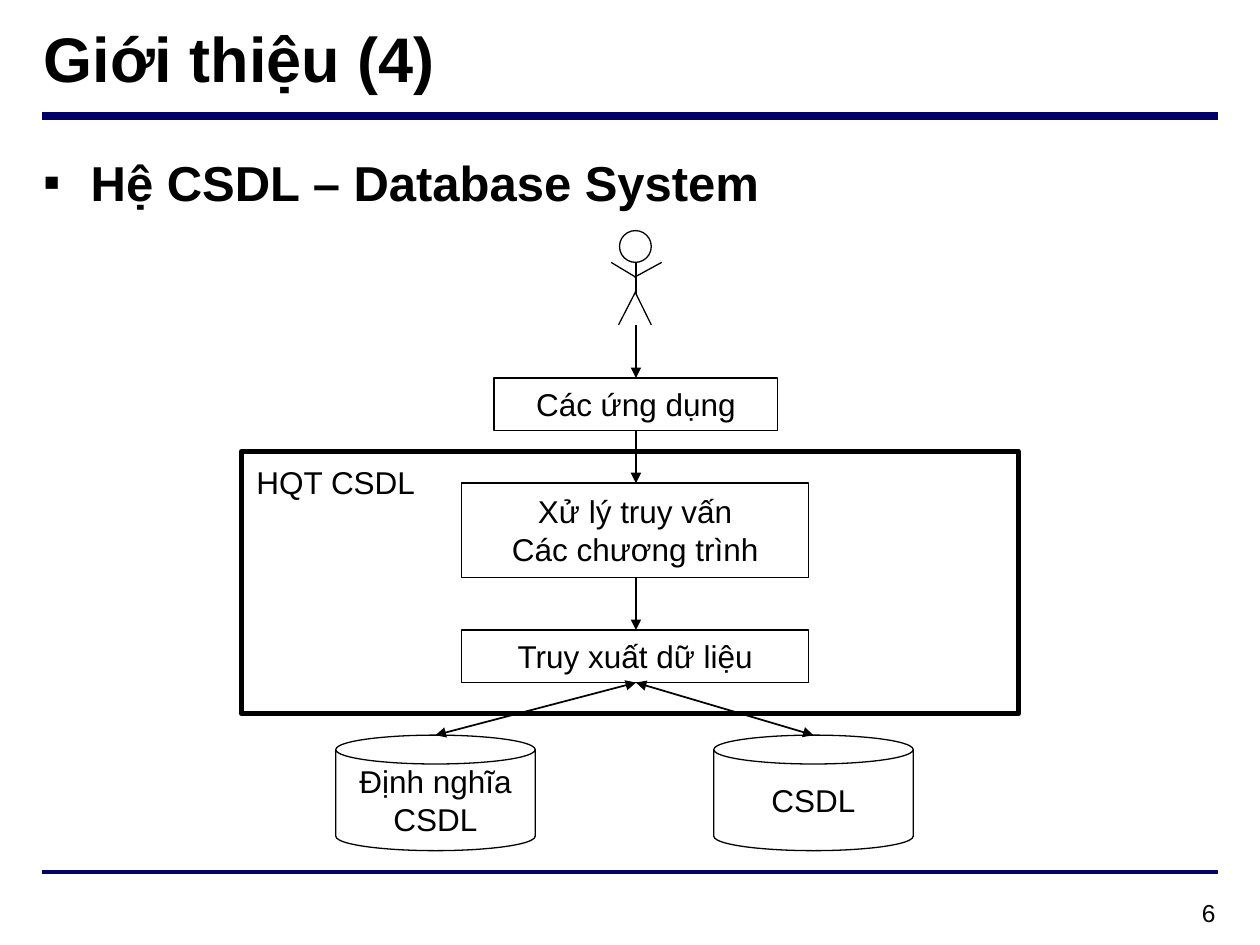
import math
from typing import NamedTuple

import pptx
import pptx.dml.color
import pptx.enum.shapes
import pptx.enum.text
import pptx.oxml.ns
import pptx.util
from lxml import etree

Cm = pptx.util.Cm
Pt = pptx.util.Pt
ALIGN = pptx.enum.text.PP_ALIGN
ANCHOR = pptx.enum.text.MSO_ANCHOR
SHAPE = pptx.enum.shapes.MSO_SHAPE

COLOURS = {"text": "000000", "line": "000000", "rule": "000066"}
FONT = "Arial"


class Box(NamedTuple):
    """A place on the slide, in centimetres."""
    left: float
    top: float
    width: float
    height: float


class Node(NamedTuple):
    kind: int
    box: Box
    lines: list[str]


class Line(NamedTuple):
    """A straight line, in centimetres, with arrowheads if asked for."""
    start: tuple[float, float]
    end: tuple[float, float]
    width: float = 0.75
    colour: str = "line"
    start_arrow: bool = False
    end_arrow: bool = False


CENTRE = 12.82
ARROW_WIDTH = 1
CAN_TOP = 14.82

NODES = [
    Node(SHAPE.RECTANGLE, Box(9.96, 7.62, 5.72, 1.06), ["Các ứng dụng"]),
    Node(SHAPE.RECTANGLE, Box(9.31, 9.74, 6.99, 1.9), ["Xử lý truy vấn", "Các chương trình"]),
    Node(SHAPE.RECTANGLE, Box(9.31, 12.7, 6.99, 1.06), ["Truy xuất dữ liệu"]),
    Node(SHAPE.CAN, Box(6.77, CAN_TOP, 4.02, 2.33), ["Định nghĩa CSDL"]),
    Node(SHAPE.CAN, Box(14.39, CAN_TOP, 4.02, 2.33), ["CSDL"]),
]
RULES = [
    Line((0.85, 2.33), (24.55, 2.33), 4.5, "rule"),
    Line((0.85, 17.57), (24.55, 17.57), 2.25, "rule"),
]
HEAD_CENTRE = (12.81, 4.97)
HEAD_RADIUS = 0.32
HEAD_POINTS = 24
USER_LIMBS = [
    [(CENTRE, 5.29), (CENTRE, 5.92)],
    [(CENTRE, 5.87), (12.47, 6.55)],
    [(CENTRE, 5.92), (13.13, 6.55)],
    [(13.34, 5.29), (12.79, 5.59)],
    [(12.32, 5.29), (CENTRE, 5.59)],
]
FLOW_ARROWS = [
    Line((CENTRE, top), (CENTRE, bottom), ARROW_WIDTH, end_arrow=True)
    for top, bottom in [(6.55, 7.62), (8.68, 9.74), (11.64, 12.7)]
]
STORE_ARROWS = [
    Line((CENTRE, 13.76), (x, CAN_TOP), ARROW_WIDTH, start_arrow=True, end_arrow=True)
    for x in (8.78, 16.4)
]


def colour_of(name: str) -> pptx.dml.color.RGBColor:
    return pptx.dml.color.RGBColor.from_string(COLOURS[name])


def add_bullet(paragraph, character: str, indent: float, hanging: float) -> None:
    properties = paragraph._p.get_or_add_pPr()
    properties.set("marL", str(Cm(indent)))
    properties.set("indent", str(-Cm(hanging)))
    for tag, name, value in (("a:buFont", "typeface", FONT), ("a:buChar", "char", character)):
        etree.SubElement(properties, pptx.oxml.ns.qn(tag)).set(name, value)


def write_text(shape, lines: list[str], *, size: float = 18, bold: bool = False,
               align=ALIGN.LEFT, anchor=ANCHOR.TOP, left_inset: float = 0,
               top_inset: float = 0, bullet: str = "") -> None:
    frame = shape.text_frame
    frame.word_wrap = True
    frame.vertical_anchor = anchor
    frame.margin_left, frame.margin_top = Cm(left_inset), Cm(top_inset)
    frame.margin_right = frame.margin_bottom = 0
    for index, line in enumerate(lines):
        paragraph = frame.add_paragraph() if index else frame.paragraphs[0]
        paragraph.alignment = align
        if bullet:
            add_bullet(paragraph, bullet, 0.98, 0.95)
        run = paragraph.add_run()
        run.text = line
        run.font.name = FONT
        run.font.size = Pt(size)
        run.font.bold = bold
        run.font.color.rgb = colour_of("text")


def add_text_box(slide, box: Box, text: str, **text_format) -> None:
    shape = slide.shapes.add_textbox(*map(Cm, box))
    write_text(shape, [text], **text_format)


def style_outline(shape, width: float = 0.75) -> None:
    """Leave the shape unfilled and give it a plain line."""
    shape.shadow.inherit = False
    shape.fill.background()
    shape.line.color.rgb = colour_of("line")
    shape.line.width = Pt(width)


def add_outline(slide, kind: int, box: Box, width: float = 0.75):
    """Add an unfilled preset shape."""
    shape = slide.shapes.add_shape(kind, *map(Cm, box))
    style_outline(shape, width)
    return shape


def add_user(slide) -> None:
    """Draw the stick figure as one outline of a head and five limbs."""
    angles = [2 * math.pi * step / HEAD_POINTS for step in range(HEAD_POINTS + 1)]
    head = [(HEAD_CENTRE[0] + HEAD_RADIUS * math.cos(angle),
             HEAD_CENTRE[1] + HEAD_RADIUS * math.sin(angle)) for angle in angles]
    strokes = [[(Cm(x), Cm(y)) for x, y in stroke] for stroke in [head, *USER_LIMBS]]
    builder = slide.shapes.build_freeform(*strokes[0][0])
    for index, stroke in enumerate(strokes):
        if index:
            builder.move_to(*stroke[0])
        builder.add_line_segments(stroke[1:], close=False)
    style_outline(builder.convert_to_shape())


def add_line(slide, line: Line) -> None:
    connector = slide.shapes.add_connector(
        pptx.enum.shapes.MSO_CONNECTOR.STRAIGHT, *map(Cm, line.start + line.end))
    connector.line.color.rgb = colour_of(line.colour)
    connector.line.width = Pt(line.width)
    outline = connector.line._get_or_add_ln()
    for tag, wanted in (("a:headEnd", line.start_arrow), ("a:tailEnd", line.end_arrow)):
        if wanted:
            etree.SubElement(outline, pptx.oxml.ns.qn(tag)).set("type", "triangle")
    etree.SubElement(connector._element.spPr, pptx.oxml.ns.qn("a:effectLst"))


def main() -> None:
    presentation = pptx.Presentation()
    presentation.slide_width, presentation.slide_height = Cm(25.4), Cm(19.05)
    slide = presentation.slides.add_slide(presentation.slide_layouts[6])

    for rule in RULES:
        add_line(slide, rule)
    add_text_box(slide, Box(0.85, 0.25, 16.54, 1.83), "Giới thiệu (4)",
                 size=36, bold=True, anchor=ANCHOR.MIDDLE, left_inset=0.03)
    add_text_box(slide, Box(0.85, 3.02, 14.53, 1.24), "Hệ CSDL – Database System",
                 size=28, bold=True, top_inset=0.05, bullet="▪")

    for node in NODES:
        shape = add_outline(slide, node.kind, node.box)
        write_text(shape, node.lines, align=ALIGN.CENTER, anchor=ANCHOR.MIDDLE)

    add_user(slide)
    for line in FLOW_ARROWS + STORE_ARROWS:
        add_line(slide, line)

    system_frame = add_outline(slide, SHAPE.RECTANGLE, Box(4.87, 9.1, 15.66, 5.29), 3)
    write_text(system_frame, ["HQT CSDL"], left_inset=0.3, top_inset=0.23)
    add_text_box(slide, Box(23.85, 18.11, 0.79, 0.64), "6", size=14, left_inset=0.38)

    presentation.save("out.pptx")


if __name__ == "__main__":
    main()
